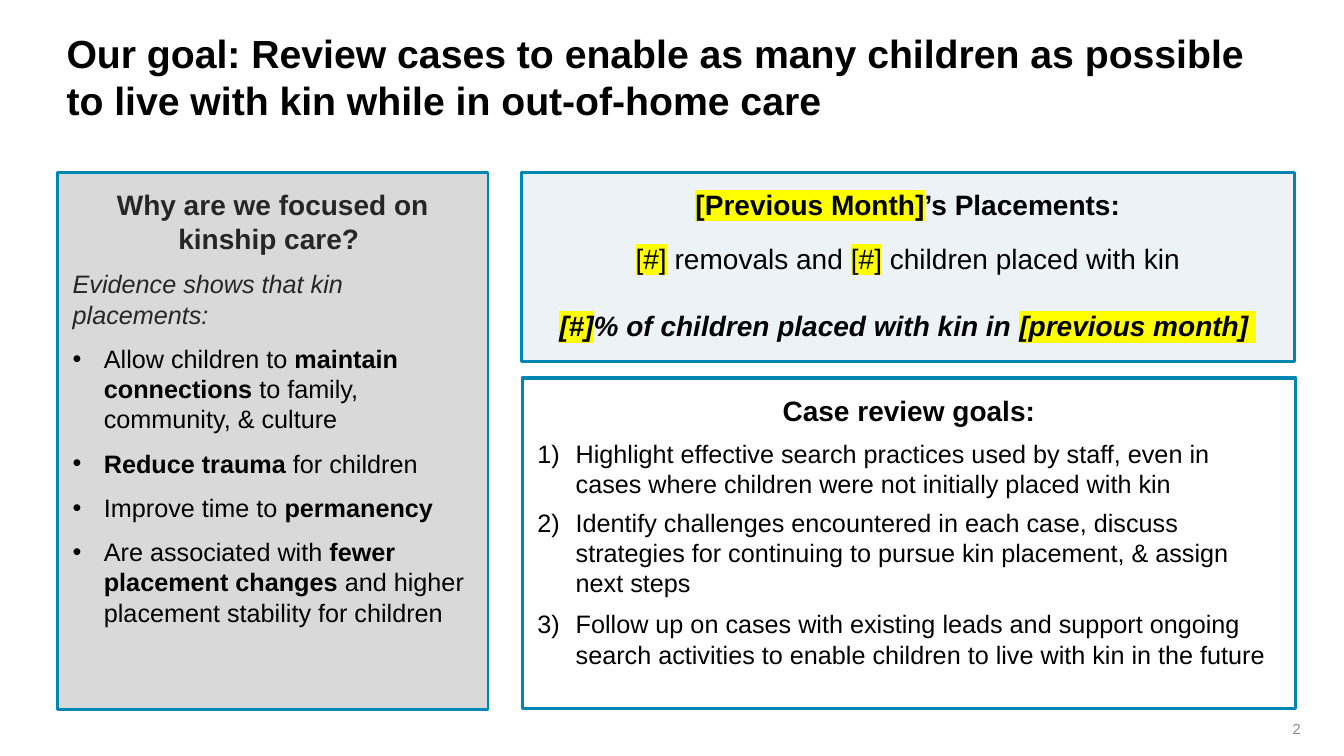
"""Build the kinship care goals slide."""
from lxml.etree import SubElement
from pptx import Presentation
from pptx.dml.color import RGBColor
from pptx.enum.shapes import MSO_SHAPE
from pptx.enum.text import MSO_ANCHOR, MSO_AUTO_SIZE, PP_ALIGN
from pptx.oxml import parse_xml
from pptx.oxml.ns import nsdecls, qn
from pptx.util import Inches, Pt

WIDTH, HEIGHT = Inches(13.33), Inches(7.5)
BLACK = RGBColor(0x00, 0x00, 0x00)
CHARCOAL = RGBColor(0x26, 0x26, 0x26)
GREY = RGBColor(0x8C, 0x8C, 0x8C)
SILVER = RGBColor(0xD9, 0xD9, 0xD9)
PALE_BLUE = RGBColor(0xEC, 0xF2, 0xF6)
TEAL = RGBColor(0x00, 0x86, 0xB3)
YELLOW = RGBColor(0xFF, 0xFF, 0x00)

PANEL_TOP, RIGHT_WIDTH = 22.8, 57.54
PANEL_INSET = Inches(0.15)
BOLD = {"bold": True}
BOLD_ITALIC = {"bold": True, "italic": True}
DOT = ("buChar", {"char": "•"}, 0.31)
NUMBER = ("buAutoNum", {"type": "arabicParenR"}, 0.38)
UNMARKED = ("buNone", {}, 0)


def apply(target, formats):
    """Set each named format value on the target."""
    for attribute, value in formats.items():
        setattr(target, attribute, value)


def place(shape, left, top, width, height):
    """Position a shape by percentages of the slide's size."""
    apply(shape, {
        "left": int(WIDTH * left / 100), "top": int(HEIGHT * top / 100),
        "width": int(WIDTH * width / 100), "height": int(HEIGHT * height / 100),
    })


def prepare_frame(shape, inset=PANEL_INSET, anchor=MSO_ANCHOR.TOP):
    """Give a shape's text frame its margins, wrapping and anchor."""
    frame = shape.text_frame
    apply(frame, {
        "margin_left": inset, "margin_right": inset,
        "margin_top": inset, "margin_bottom": inset, "word_wrap": True,
        "auto_size": MSO_AUTO_SIZE.NONE, "vertical_anchor": anchor,
    })
    return frame


def frame_panel(panel, bounds, line_width, fill=None):
    """Place and outline a panel, and fill it when a colour is given."""
    place(panel, *bounds)
    apply(panel.line, {"width": Pt(line_width)})
    panel.line.color.rgb = TEAL
    if fill is not None:
        panel.fill.solid()
        panel.fill.fore_color.rgb = fill
    return prepare_frame(panel)


def write_run(paragraph, words, size, color=BLACK, style=None, marked=False):
    """Add a formatted run, highlighted in yellow when marked."""
    run = paragraph.add_run()
    run.text = words
    formats = {"name": "Arial", "size": Pt(size), "bold": False, "italic": False}
    apply(run.font, formats | (style or {}))
    run.font.color.rgb = color
    if marked:
        run.font.fill._xPr.find(qn("a:solidFill")).addnext(parse_xml(
            f'<a:highlight {nsdecls("a")}><a:srgbClr val="{YELLOW}"/></a:highlight>'))


def write_paragraph(frame, pieces, size, after=0, align=PP_ALIGN.LEFT,
                    marker=UNMARKED, color=BLACK):
    """Write pieces of (words, style, marked) as one paragraph."""
    first = frame.paragraphs[0]
    paragraph = first if not first.runs else frame.add_paragraph()
    apply(paragraph, {"alignment": align, "space_before": Pt(0),
                      "space_after": Pt(after), "line_spacing": 1.0})
    tag, attributes, indent = marker
    properties = paragraph._p.get_or_add_pPr()
    properties.set("marL", str(Inches(indent)))
    properties.set("indent", str(-Inches(indent)))
    SubElement(properties, qn(f"a:{tag}"), attributes)
    for words, *look in pieces:
        write_run(paragraph, words, size, color, *look)


def add_title(title):
    """Fill the title placeholder."""
    place(title, 4.2, 3.87, 90.7, 7.87)
    frame = prepare_frame(title, Inches(0.1))
    frame.margin_top = 0
    write_paragraph(frame, [("Our goal: Review cases to enable as many children as "
                             "possible to live with kin while in out-of-home care", BOLD)], 28)


def add_reasons(panel):
    """Fill the panel explaining the focus on kinship care."""
    frame = frame_panel(panel, (4.28, PANEL_TOP, 32.03, 71.07), 2, SILVER)
    write_paragraph(frame, [("Why are we focused on kinship care? ", BOLD)], 20, 10,
                    PP_ALIGN.CENTER, color=CHARCOAL)
    write_paragraph(frame, [("Evidence shows that kin placements:", {"italic": True})],
                    18, 10, color=CHARCOAL)
    reasons = [
        [("Allow children to ",), ("maintain connections", BOLD),
         (" to family, community, & culture",)],
        [("Reduce trauma ", BOLD), ("for children",)],
        [("Improve time to ",), ("permanency", BOLD)],
        [("Are associated with ",), ("fewer placement changes ", BOLD),
         ("and higher placement stability for children",)],
    ]
    for reason in reasons:
        write_paragraph(frame, reason, 18, 10, marker=DOT)


def add_goals(panel):
    """Fill the panel with the numbered case review goals."""
    frame = frame_panel(panel, (38.86, 50, RIGHT_WIDTH, 43.73), 2.25)
    write_paragraph(frame, [("Case review goals:", BOLD)], 20, 8, PP_ALIGN.CENTER)
    goals = [
        ("Highlight effective search practices used by staff, even in cases where "
         "children were not initially placed with kin", 6),
        ("Identify challenges encountered in each case, discuss strategies for "
         "continuing to pursue kin placement, & assign next steps", 8),
        ("Follow up on cases with existing leads and support ongoing search "
         "activities to enable children to live with kin in the future", 8),
    ]
    for goal, after in goals:
        write_paragraph(frame, [(goal,)], 18, after, marker=NUMBER)


def add_placements(slide):
    """Add the panel with the previous month's placements."""
    panel = slide.shapes.add_shape(MSO_SHAPE.RECTANGLE, 0, 0, 0, 0)
    panel.shadow.inherit = False
    frame = frame_panel(panel, (38.78, PANEL_TOP, RIGHT_WIDTH, 25.07), 2, PALE_BLUE)
    placements = [
        ([("[Previous Month]", BOLD, True), ("’s Placements:", BOLD)], 14.5),
        ([("[#]", {}, True), (" removals and ",), ("[#]", {}, True),
          (" children placed with kin",)], 24),
        ([("[#]", BOLD_ITALIC, True),
          ("% of children placed with kin in ", BOLD_ITALIC),
          ("[previous month] ", BOLD_ITALIC, True)], 0),
    ]
    for pieces, after in placements:
        write_paragraph(frame, pieces, 20, after, PP_ALIGN.CENTER)


def add_page_number(slide):
    """Add the page number at the bottom right."""
    number = slide.shapes.add_textbox(0, 0, 0, 0)
    place(number, 91.9, 93.73, 5.63, 5.33)
    frame = prepare_frame(number, Inches(0.1), MSO_ANCHOR.MIDDLE)
    write_paragraph(frame, [("2",)], 10.5, align=PP_ALIGN.RIGHT, color=GREY)


def main():
    """Build and save the presentation."""
    presentation = Presentation()
    apply(presentation, {"slide_width": WIDTH, "slide_height": HEIGHT})
    slide = presentation.slides.add_slide(
        presentation.slide_layouts.get_by_name("Two Content"))
    title, reasons, goals = slide.placeholders
    add_title(title)
    add_reasons(reasons)
    add_goals(goals)
    add_placements(slide)
    add_page_number(slide)
    presentation.save("out.pptx")


if __name__ == "__main__":
    main()
